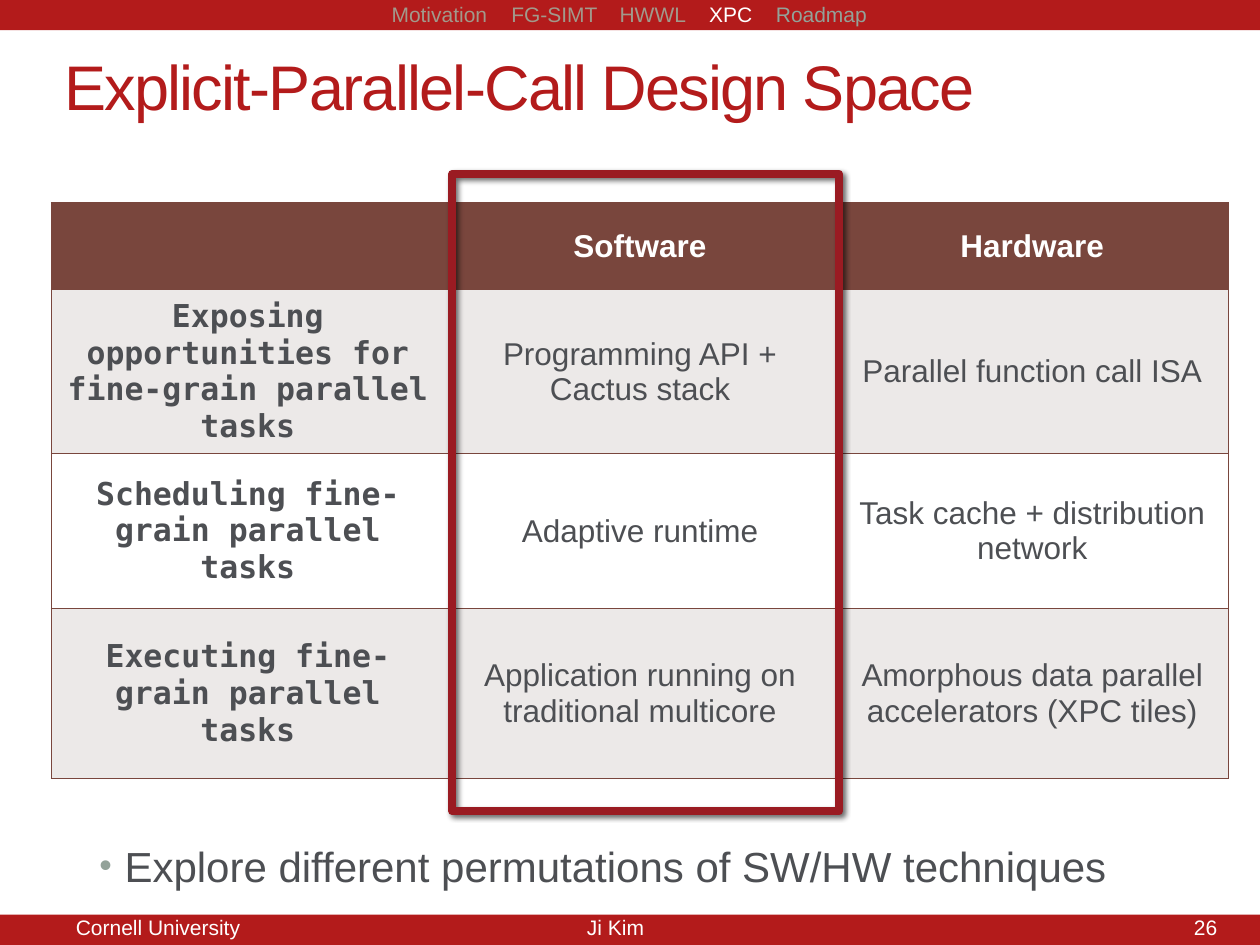
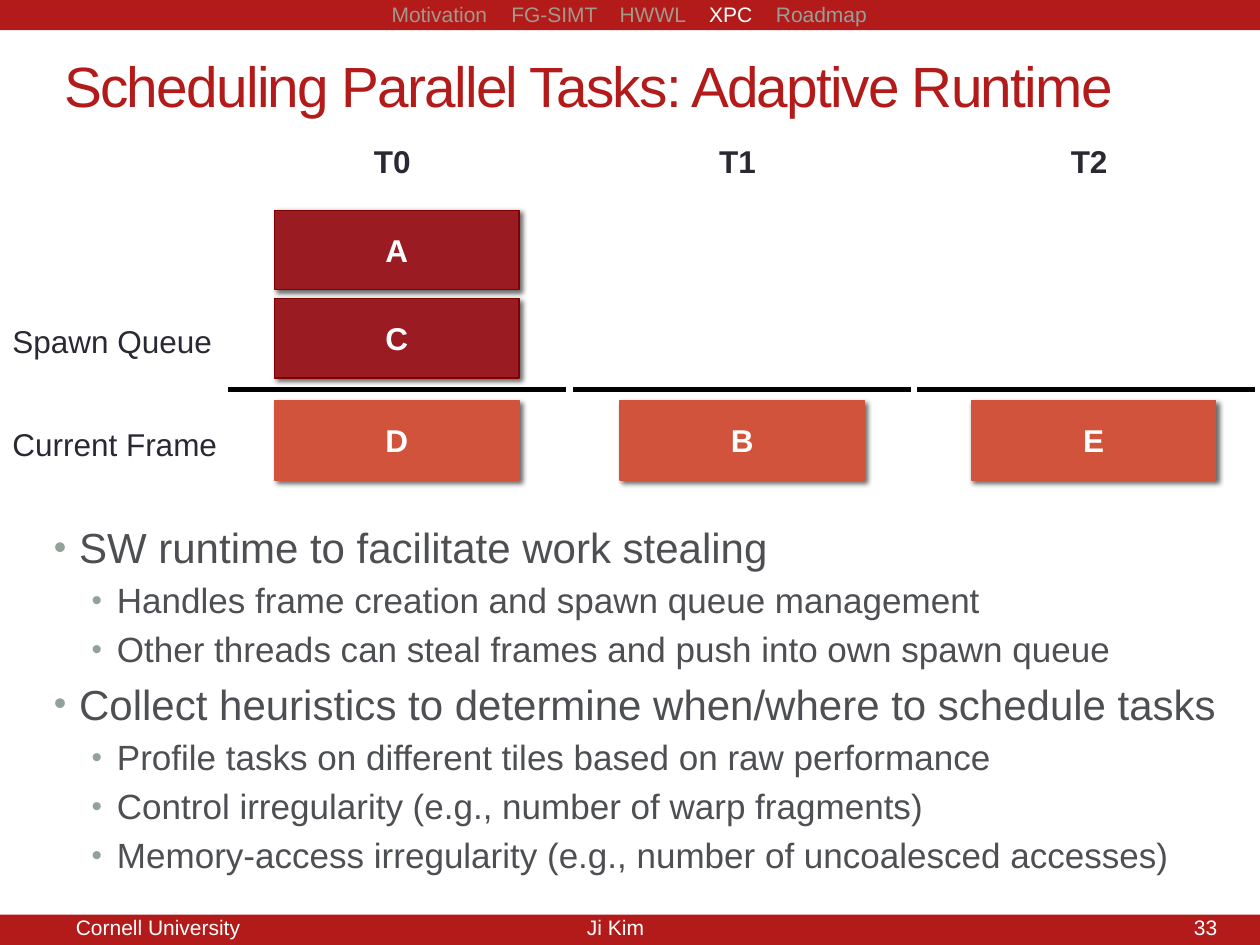
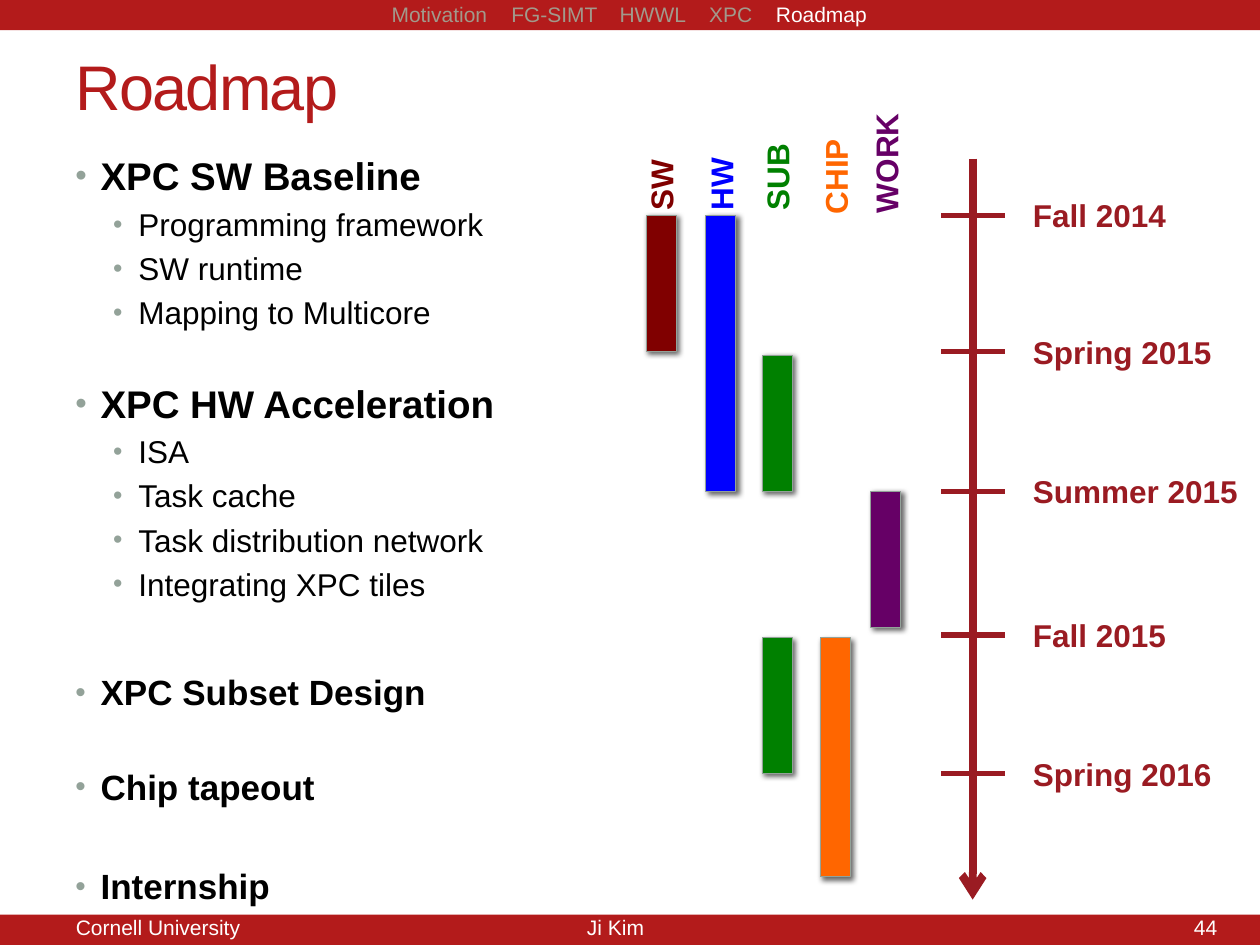
from dataclasses import dataclass
from typing import Any, Optional

from lxml import etree
from pptx import Presentation
from pptx import util as u
from pptx.dml.color import RGBColor
from pptx.enum import shapes, text
from pptx.oxml.ns import qn
from pptx.slide import Slide

PX = 9144  # 100 px to the inch
SANS, MONO = "Arial", "DejaVu Sans Mono"
COLOURS = {
    "red": "B31B1B", "crimson": "9A1B22", "maroon": "800000", "coral": "D2533C",
    "brown": "79463D", "pale": "ECE9E8", "white": "FFFFFF", "black": "000000",
    "ink": "292934", "body": "4D4F53", "sage": "93A299", "stone": "A2998B",
    "blue": "0000FF", "green": "008000", "orange": "FF6600", "purple": "660066",
}
LEFT, CENTRE, RIGHT = text.PP_ALIGN.LEFT, text.PP_ALIGN.CENTER, text.PP_ALIGN.RIGHT
TOP, MIDDLE = text.MSO_ANCHOR.TOP, text.MSO_ANCHOR.MIDDLE


@dataclass(frozen=True)
class Box:
    left: int
    top: int
    width: int
    height: int

    def emu(self) -> tuple[int, ...]:
        return tuple(n * PX for n in (self.left, self.top, self.width, self.height))


@dataclass(frozen=True)
class Style:
    size: float
    colour: str
    bold: bool = False
    font: str = SANS


@dataclass(frozen=True)
class Bullet:
    words: str
    style: Style
    level: int = 0
    gap: Optional[int] = None  # points before; 20% of the line when not given


@dataclass(frozen=True)
class Thread:
    name: str
    frame_left: int
    rule_left: int
    current: str
    spawned: tuple[str, ...] = ()


@dataclass(frozen=True)
class Lane:
    name: str
    left: int
    colour: str
    label_width: int
    label_bottom: int
    spans: tuple[tuple[int, int], ...]


@dataclass(frozen=True)
class Season:
    name: str
    y: int


SMALL = Style(12, "white")
LABEL = Style(18, "ink")
HEADING = Style(18, "ink", bold=True)
TASK = Style(18, "white", bold=True)
SEASON = Style(18, "crimson", bold=True)

SECTIONS = ("Motivation", "FG-SIMT", "HWWL", "XPC", "Roadmap")
SECTION_TABS = (95, 181, 252, 305)


# Text and drawing helpers
def rgb(name: str) -> RGBColor:
    return RGBColor.from_string(COLOURS[name])


def node(parent: Any, tag: str, **attributes: Any) -> Any:
    return etree.SubElement(parent, qn(tag), {k: str(v) for k, v in attributes.items()})


def apply(font: Any, style: Style) -> None:
    font.name, font.size, font.bold = style.font, u.Pt(style.size), style.bold
    font.color.rgb = rgb(style.colour)


def write(frame: Any, words: str, style: Style, align: Any = LEFT, anchor: Any = MIDDLE) -> None:
    frame.vertical_anchor = anchor
    paragraph = frame.paragraphs[0]
    paragraph.text = words
    paragraph.alignment = align
    apply(paragraph.font, style)


def label(slide: Slide, box: Box, words: str, style: Style, align: Any = LEFT,
          wrap: bool = False) -> Any:
    shape = slide.shapes.add_textbox(*box.emu())
    shape.text_frame.word_wrap = wrap
    write(shape.text_frame, words, style, align)
    return shape


def block(slide: Slide, box: Box, fill: Optional[str], line: Optional[str] = None,
          width: float = 0.75, shadow: bool = True) -> Any:
    shape = slide.shapes.add_shape(shapes.MSO_SHAPE.RECTANGLE, *box.emu())
    if fill:
        shape.fill.solid()
        shape.fill.fore_color.rgb = rgb(fill)
    else:
        shape.fill.background()
    if line:
        shape.line.color.rgb = rgb(line)
        shape.line.width = u.Pt(width)
    else:
        shape.line.fill.background()
    shape.shadow.inherit = False
    if shadow:
        effects = shape._element.spPr.find(qn("a:effectLst"))
        outer = node(effects, "a:outerShdw", blurRad=u.Pt(3), dist=u.Pt(2),
                     dir=45 * 60000, rotWithShape=0)
        node(node(outer, "a:srgbClr", val=COLOURS["black"]), "a:alpha", val=60000)
    return shape


def rule(slide: Slide, start: tuple[int, int], end: tuple[int, int], colour: str,
         width: float, arrow: bool = False) -> None:
    line = slide.shapes.add_connector(
        shapes.MSO_CONNECTOR.STRAIGHT, *(n * PX for n in (*start, *end)))
    line.line.color.rgb = rgb(colour)
    line.line.width = u.Pt(width)
    properties = line._element.spPr
    if arrow:
        node(properties.find(qn("a:ln")), "a:tailEnd", type="arrow")
    node(properties, "a:effectLst")


def bullets(slide: Slide, box: Box, items: list[Bullet]) -> None:
    frame = slide.shapes.add_textbox(*box.emu()).text_frame
    frame.word_wrap = True
    for i, item in enumerate(items):
        paragraph = frame.paragraphs[0] if i == 0 else frame.add_paragraph()
        paragraph.text = item.words
        paragraph.level = item.level
        properties = paragraph._p.get_or_add_pPr()
        properties.set("marL", str((20 + 30 * item.level) * PX))
        properties.set("indent", str(-20 * PX))
        if item.gap is None:
            node(node(properties, "a:spcBef"), "a:spcPct", val=20000)
        else:
            paragraph.space_before = u.Pt(item.gap)
        node(node(properties, "a:buClr"), "a:srgbClr", val=COLOURS["sage"])
        node(properties, "a:buSzPct", val=85000)
        node(properties, "a:buFont", typeface=SANS)
        node(properties, "a:buChar", char="•")
        apply(paragraph.font, item.style)


# Shared slide furniture
def section_bar(slide: Slide, active: str) -> None:
    frame = slide.shapes.add_textbox(*Box(301, 0, 450, 23).emu()).text_frame
    frame.word_wrap = True
    frame.margin_top = frame.margin_bottom = 0
    frame.vertical_anchor = MIDDLE
    paragraph = frame.paragraphs[0]
    stops = node(paragraph._p.get_or_add_pPr(), "a:tabLst")
    for position in SECTION_TABS:
        node(stops, "a:tab", pos=position * PX, algn="l")
    current = SECTIONS.index(active)
    for i, section in enumerate(SECTIONS):
        run = paragraph.add_run()
        run.text = f"\t{section}" if i else section
        colour = "white" if i == current else "stone" if i < current else "sage"
        apply(run.font, Style(12, colour))


def start_slide(deck: Any, heading: str, box: Box, section: str, number: int,
                size: float = 36) -> Slide:
    slide = deck.slides.add_slide(deck.slide_layouts[5])
    title = slide.shapes.title
    title.left, title.top, title.width, title.height = box.emu()
    title.text_frame.auto_size = text.MSO_AUTO_SIZE.NONE
    write(title.text_frame, heading, Style(size, "red"))
    title.text_frame.paragraphs[0].runs[0]._r.get_or_add_rPr().set("spc", "-100")

    for top in (0, 726):
        block(slide, Box(0, top, 1000, 24), "red", shadow=False)
    section_bar(slide, section)
    label(slide, Box(0, 721, 251, 30), "Cornell University", SMALL, CENTRE, wrap=True)
    label(slide, Box(313, 721, 351, 30), "Ji Kim", SMALL, CENTRE, wrap=True)
    label(slide, Box(743, 716, 233, 40), str(number), SMALL, RIGHT, wrap=True)
    return slide


# Design space
DESIGN_SPACE = (
    ("", "Software", "Hardware"),
    ("Exposing opportunities for fine-grain parallel tasks",
     "Programming API + Cactus stack", "Parallel function call ISA"),
    ("Scheduling fine-grain parallel tasks",
     "Adaptive runtime", "Task cache + distribution network"),
    ("Executing fine-grain parallel tasks",
     "Application running on traditional multicore",
     "Amorphous data parallel accelerators (XPC tiles)"),
)
ROW_HEIGHTS = (69, 122, 123, 135)


def cell_borders(cell: Any, sides: str) -> None:
    properties = cell._tc.get_or_add_tcPr()
    for i, side in enumerate("LRTB"):
        edge = etree.Element(qn(f"a:ln{side}"), w=str(u.Pt(1)))
        if side in sides:
            node(node(edge, "a:solidFill"), "a:srgbClr", val=COLOURS["brown"])
        else:
            node(edge, "a:noFill")
        properties.insert(i, edge)


def design_space(deck: Any) -> None:
    slide = start_slide(deck, "Explicit-Parallel-Call Design Space",
                        Box(41, 25, 934, 85), "XPC", 26)
    columns = len(DESIGN_SPACE[0])
    grid = slide.shapes.add_table(len(DESIGN_SPACE), columns,
                                  *Box(41, 161, 934, sum(ROW_HEIGHTS)).emu()).table
    grid.first_row = grid.horz_banding = False
    for r, (height, row) in enumerate(zip(ROW_HEIGHTS, DESIGN_SPACE)):
        grid.rows[r].height = height * PX
        for c, words in enumerate(row):
            cell = grid.cell(r, c)
            cell.fill.solid()
            cell.fill.fore_color.rgb = rgb("brown" if r == 0 else "pale" if r % 2 else "white")
            if r == 0:
                style = TASK
            elif c == 0:
                style = Style(18, "body", bold=True, font=MONO)
            else:
                style = Style(18, "body")
            cell.vertical_anchor = MIDDLE
            write(cell.text_frame, words, style, CENTRE)
            cell_borders(cell, "TB" + ("L" if c == 0 else "R" if c == columns - 1 else ""))

    block(slide, Box(359, 138, 307, 506), None, "crimson", 4.5)
    bullets(slide, Box(69, 662, 862, 66), [
        Bullet("Explore different permutations of SW/HW techniques", Style(24, "body"))])


# Adaptive runtime
THREADS = (
    Thread("T0", 218, 181, "D", ("C", "A")),
    Thread("T1", 492, 455, "B"),
    Thread("T2", 771, 728, "E"),
)
RUNTIME_POINTS = (
    ("SW runtime to facilitate work stealing", (
        "Handles frame creation and spawn queue management",
        "Other threads can steal frames and push into own spawn queue")),
    ("Collect heuristics to determine when/where to schedule tasks", (
        "Profile tasks on different tiles based on raw performance",
        "Control irregularity (e.g., number of warp fragments)",
        "Memory-access irregularity (e.g., number of uncoalesced accesses)")),
)


def task(slide: Slide, left: int, top: int, name: str, fill: str, line: str) -> None:
    shape = block(slide, Box(left, top, 194, 63), fill, line)
    write(shape.text_frame, name, TASK, CENTRE)


def adaptive_runtime(deck: Any) -> None:
    slide = start_slide(deck, "Scheduling Parallel Tasks: Adaptive Runtime",
                        Box(41, 25, 942, 85), "XPC", 33, size=32.4)
    label(slide, Box(0, 251, 180, 40), "Spawn Queue", LABEL)
    label(slide, Box(0, 332, 184, 40), "Current Frame", LABEL)
    for thread in THREADS:
        label(slide, Box(thread.frame_left + 69, 108, 50, 40), thread.name, HEADING)
        rule(slide, (thread.rule_left, 309), (thread.rule_left + 268, 309), "black", 3)
        for i, name in enumerate(thread.spawned):
            task(slide, thread.frame_left, 237 - 70 * i, name, "crimson", "maroon")
        task(slide, thread.frame_left, 318, thread.current, "coral", "coral")

    items = []
    for point, details in RUNTIME_POINTS:
        items.append(Bullet(point, Style(24, "body")))
        items += [Bullet(detail, Style(20, "body"), 1) for detail in details]
    bullets(slide, Box(33, 409, 943, 324), items)


# Roadmap
GOALS = (
    ("XPC SW Baseline", 22, None,
     ("Programming framework", "SW runtime", "Mapping to Multicore")),
    ("XPC HW Acceleration", 22, 28,
     ("ISA", "Task cache", "Task distribution network", "Integrating XPC tiles")),
    ("XPC Subset Design", 20, 39, ()),
    ("Chip tapeout", 20, 30, ()),
    ("Internship", 20, 33, ()),
)
SEASONS = (
    Season("Fall 2014", 171), Season("Spring 2015", 279), Season("Summer 2015", 390),
    Season("Fall 2015", 504), Season("Spring 2016", 614),
)
LANES = (
    Lane("SW", 513, "maroon", 61, 176, ((171, 279),)),
    Lane("HW", 560, "blue", 62, 177, ((171, 390),)),
    Lane("SUB", 605, "green", 73, 176, ((282, 390), (506, 614))),
    Lane("CHIP", 651, "orange", 80, 180, ((506, 696),)),
    Lane("WORK", 691, "purple", 100, 179, ((390, 498),)),
)
BAR_WIDTH, LABEL_HEIGHT, AXIS_X = 24, 40, 772


def roadmap(deck: Any) -> None:
    slide = start_slide(deck, "Roadmap", Box(50, 25, 900, 85), "Roadmap", 44)
    items = []
    for goal, size, gap, steps in GOALS:
        items.append(Bullet(goal, Style(size, "black", bold=True), gap=gap))
        items += [Bullet(step, Style(18, "black"), 1) for step in steps]
    bullets(slide, Box(50, 116, 538, 599), items)

    rule(slide, (AXIS_X, 126), (AXIS_X, 714), "crimson", 4.5, arrow=True)
    for season in SEASONS:
        rule(slide, (AXIS_X - 25, season.y), (AXIS_X + 26, season.y), "crimson", 3)
        label(slide, Box(810, season.y - 20, 184, 40), season.name, SEASON, wrap=True)

    for lane in LANES:
        for top, bottom in lane.spans:
            block(slide, Box(lane.left, top, BAR_WIDTH, bottom - top), lane.colour, "sage")
        box = Box(lane.left + (BAR_WIDTH - lane.label_width) // 2,
                  lane.label_bottom - (lane.label_width + LABEL_HEIGHT) // 2,
                  lane.label_width, LABEL_HEIGHT)
        label(slide, box, lane.name, Style(18, lane.colour, bold=True)).rotation = 270


def main() -> None:
    deck = Presentation()
    deck.slide_width, deck.slide_height = 1000 * PX, 750 * PX
    design_space(deck)
    adaptive_runtime(deck)
    roadmap(deck)
    deck.save("out.pptx")


if __name__ == "__main__":
    main()
